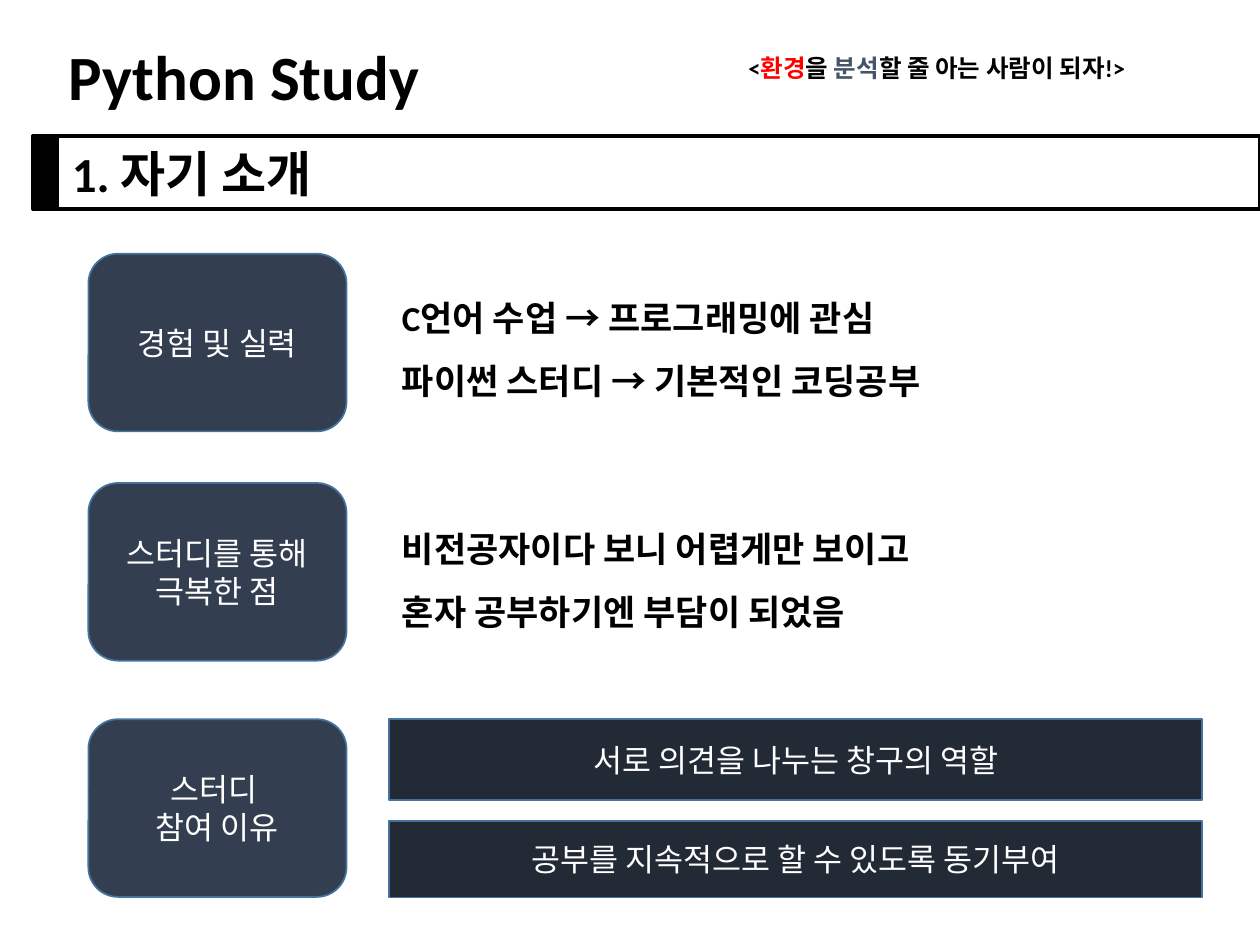
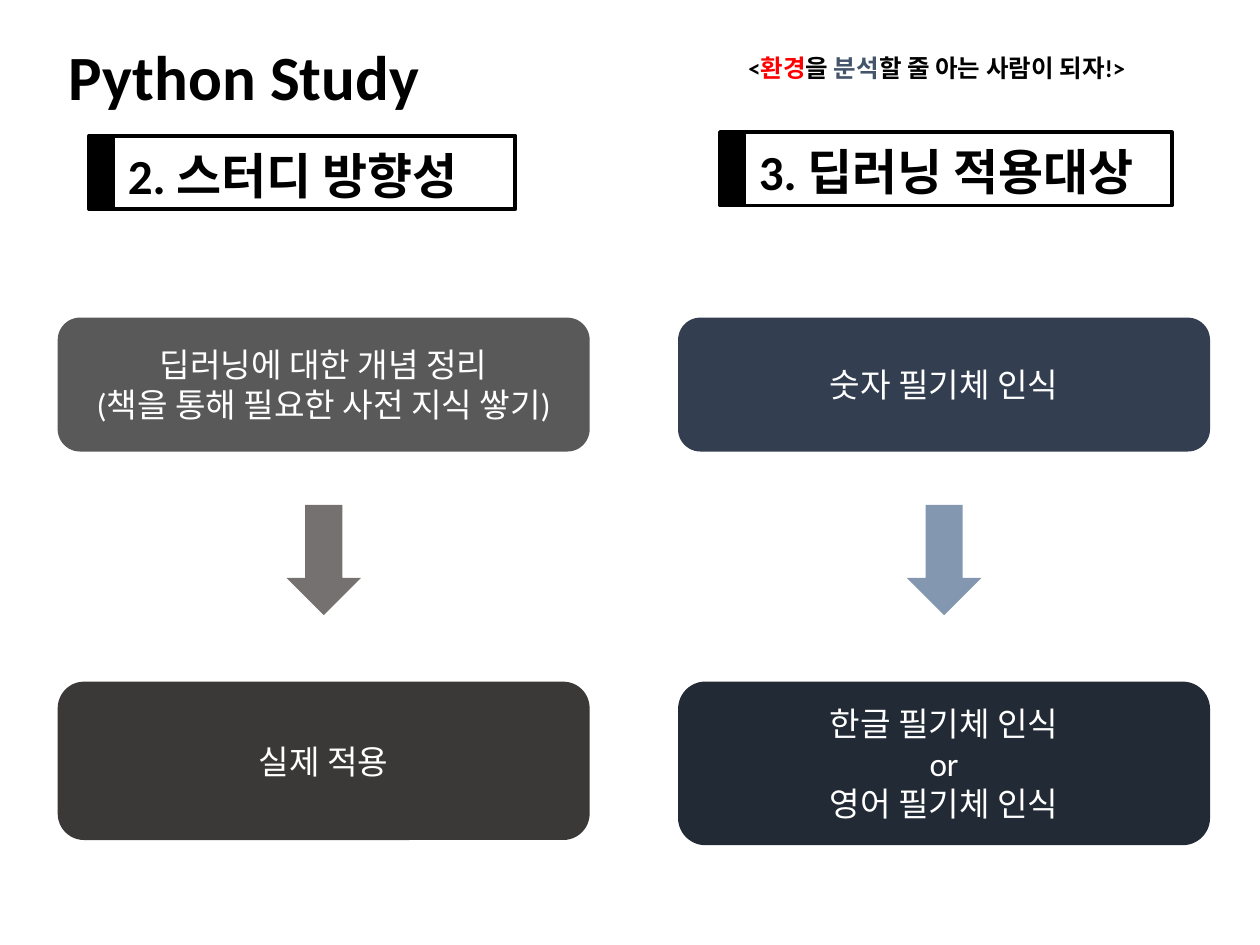
import pptx
import pptx.dml.color
import pptx.enum.shapes
import pptx.enum.text
import pptx.util
import lxml.etree

Pt = pptx.util.Pt
Form = pptx.enum.shapes.MSO_SHAPE
Align = pptx.enum.text.PP_ALIGN
Anchor = pptx.enum.text.MSO_ANCHOR
Fit = pptx.enum.text.MSO_AUTO_SIZE

BLACK, WHITE, RED, SLATE = "000000", "FFFFFF", "FF0000", "44546A"
NAVY, DARK, EDGE = "333F50", "222A35", "43739E"
FONT = "Calibri"
MOTTO = [("<", BLACK), ("환경", RED), ("을 ", BLACK), ("분석", SLATE),
         ("할 줄 아는 사람이 되자!>", BLACK)]


def color(code):
    return pptx.dml.color.RGBColor.from_string(code)


def write(shape, lines, size=18, ink=BLACK, bold=False, align=Align.CENTER,
          anchor=Anchor.TOP, space=1.0):
    """Fill a shape with lines; a line is a string or a list of (text, colour)."""
    frame = shape.text_frame
    frame.word_wrap = True
    frame.auto_size = Fit.NONE
    frame.vertical_anchor = anchor
    for i, line in enumerate(lines):
        para = frame.paragraphs[0] if i == 0 else frame.add_paragraph()
        para.alignment = align
        para.line_spacing = space
        para.space_before = Pt(0)
        for text, tint in [(line, ink)] if isinstance(line, str) else line:
            run = para.add_run()
            run.text = text
            run.font.name = FONT
            run.font.size = Pt(size)
            run.font.bold = bold
            run.font.color.rgb = color(tint)


class Deck:
    def __init__(self):
        self.file = pptx.Presentation()
        self.file.slide_width, self.file.slide_height = Pt(720), Pt(540)
        self.slide = None

    def page(self, layout):
        """Start a slide with the shared title and motto."""
        self.slide = self.file.slides.add_slide(self.file.slide_layouts[layout])
        title = self.slide.shapes.title
        self.place(title, -50, 18, 379, 51)
        write(title, ["Python Study"], size=36, bold=True)
        self.label([MOTTO], 322.5, 26.5, 425.5, 24.5, size=14, bold=True)

    def place(self, shape, x, y, w, h):
        shape.left, shape.top, shape.width, shape.height = map(Pt, (x, y, w, h))

    def label(self, lines, x, y, w, h, **style):
        box = self.slide.shapes.add_textbox(Pt(x), Pt(y), Pt(w), Pt(h))
        write(box, lines, **style)

    def body(self, slot, lines, y):
        """Place a plain list in a body placeholder."""
        box = self.slide.placeholders[slot]
        self.place(box, 222.5, y, 344, 78)
        write(box, lines, size=20, bold=True, align=Align.LEFT, space=1.5)
        for para in box.text_frame.paragraphs:
            props = para._p.get_or_add_pPr()
            props.set("marL", "0")
            props.set("indent", "0")
            lxml.etree.SubElement(props, pptx.oxml.ns.qn("a:buNone"))

    def shape(self, form, x, y, w, h, fill=None, edge=None, width=1,
              lines=(), size=18):
        item = self.slide.shapes.add_shape(form, Pt(x), Pt(y), Pt(w), Pt(h))
        item.shadow.inherit = False
        if fill:
            item.fill.solid()
            item.fill.fore_color.rgb = color(fill)
        else:
            item.fill.background()
        if edge:
            item.line.color.rgb = color(edge)
            item.line.width = Pt(width)
        else:
            item.line.fill.background()
        if lines:
            write(item, lines, size=size, ink=WHITE, anchor=Anchor.MIDDLE)

    def band(self, text, x, y, w, drop=2):
        """Draw a framed section heading with a black tab."""
        self.label([text], x + 15, y + drop, 248, 41, size=28, bold=True,
                   align=Align.LEFT)
        self.shape(Form.RECTANGLE, x, y, 14.5, 42.5, BLACK, BLACK)
        self.shape(Form.RECTANGLE, x, y, w, 42, edge=BLACK, width=2.25)

    def flow(self, x, first, last, fills, high):
        """Draw two boxes joined by a block arrow."""
        wide, tip = 304, 42.5
        top, mid, end = fills
        self.shape(Form.ROUNDED_RECTANGLE, x, 181.5, wide, 76.5, top,
                   lines=first, size=19)
        self.shape(Form.DOWN_ARROW, x + (wide - tip) / 2, 288.5, tip, 63, mid)
        self.shape(Form.ROUNDED_RECTANGLE, x, 389.5, wide, high, end,
                   lines=last, size=19)


def main():
    deck = Deck()

    # Slide 1: self introduction
    deck.page(3)
    deck.band("1. 자기 소개", 19, 77.5, 701, drop=1)
    deck.body(1, ["C언어 수업 → 프로그래밍에 관심",
                  "파이썬 스터디 → 기본적인 코딩공부"], 154)
    deck.body(2, ["비전공자이다 보니 어렵게만 보이고",
                  "혼자 공부하기엔 부담이 되었음"], 286)
    topics = [(145, ["경험 및 실력"]),
              (276, ["스터디를 통해", "극복한 점"]),
              (411, ["스터디 ", "참여 이유"])]
    for y, lines in topics:
        deck.shape(Form.ROUNDED_RECTANGLE, 50.5, y, 147.5, 101.5, NAVY, EDGE,
                   lines=lines)
    reasons = [(411, 46, "서로 의견을 나누는 창구의 역할"),
               (469, 44, "공부를 지속적으로 할 수 있도록 동기부여")]
    for y, h, text in reasons:
        deck.shape(Form.RECTANGLE, 222.5, y, 464.5, h, DARK, EDGE, lines=[text])

    # Slide 2: direction and targets
    deck.page(5)
    deck.band("2. 스터디 방향성", 51, 77.5, 243.5)
    deck.band("3. 딥러닝 적용대상", 411.5, 75.5, 258)
    deck.flow(33, ["딥러닝에 대한 개념 정리", "(책을 통해 필요한 사전 지식 쌓기)"],
              ["실제 적용"], ("595959", "767171", "3B3838"), 90.5)
    deck.flow(387.5, ["숫자 필기체 인식"],
              ["한글 필기체 인식", "or", "영어 필기체 인식"],
              (NAVY, "8497B0", DARK), 93.5)

    deck.file.save("out.pptx")


if __name__ == "__main__":
    main()
